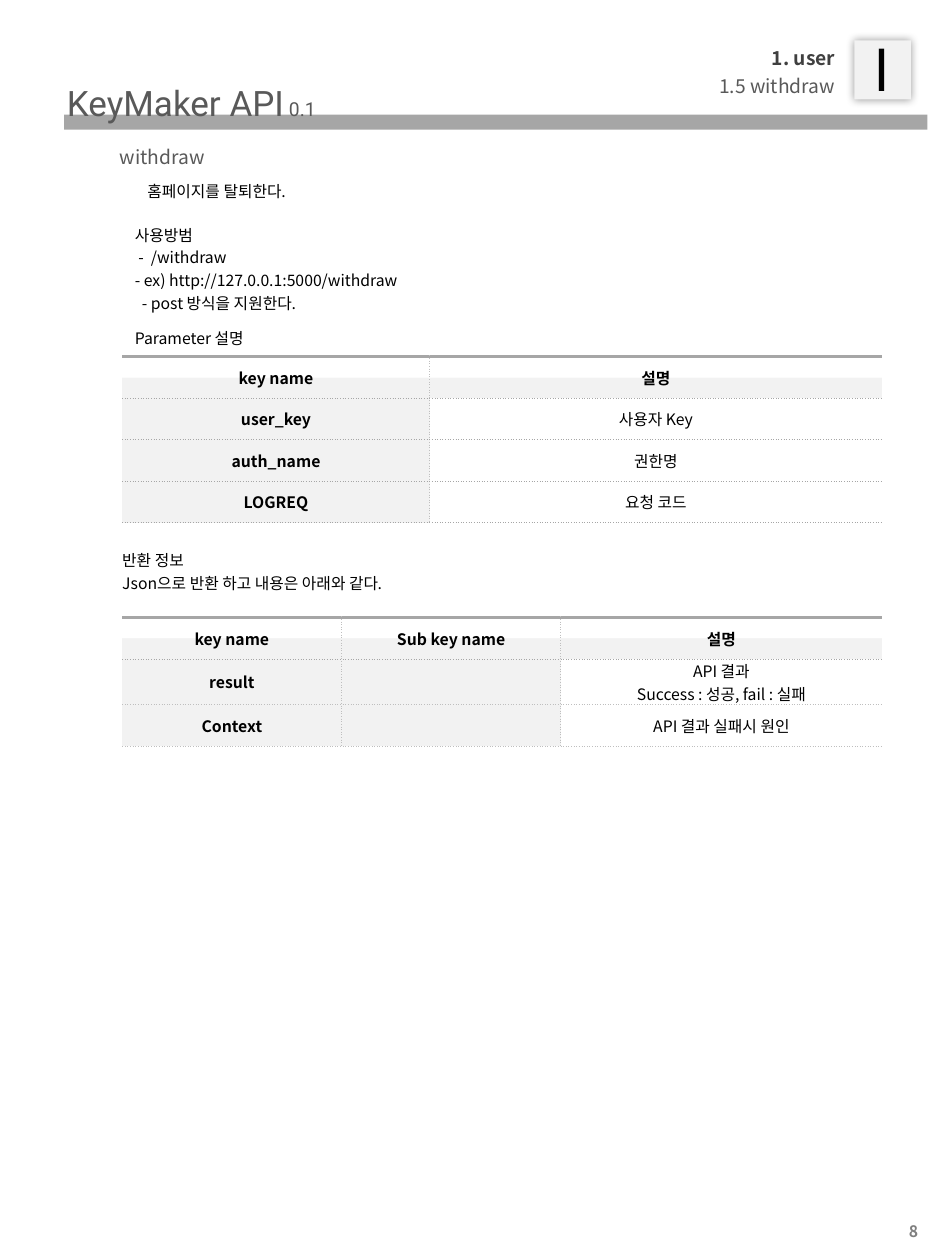
"""Build the withdraw page of the KeyMaker API guide."""
from lxml.etree import SubElement as Sub
from pptx import Presentation
from pptx.dml.color import RGBColor
from pptx.enum.shapes import MSO_SHAPE as Kind
from pptx.enum.text import MSO_ANCHOR as Anchor, MSO_AUTO_SIZE as Auto, PP_ALIGN as Align
from pptx.oxml.ns import qn
from pptx.util import Inches, Pt

rgb = RGBColor.from_string
SANS = "Noto Sans CJK KR"
WIDE, HIGH = 7.5, 10
LEFT, SPAN, ROW = 0.97, 6.03, 0.33
GRAY, PALE, SOFT = "A6A6A6", "BFBFBF", "F2F2F2"


def put(para, text, size, hue="000000", bold=False, face=SANS):
    run = para.add_run()
    run.text = text
    for key, val in {"size": Pt(size), "bold": bold, "name": face}.items():
        setattr(run.font, key, val)
    run.font.color.rgb = rgb(hue)
    Sub(run.font._element, qn("a:ea"), typeface=face)


def write(frame, lines, align=Align.LEFT, gap=1.0, pad=(0, 0), anchor=Anchor.TOP, wrap=True):
    form = {"word_wrap": wrap, "auto_size": Auto.NONE, "vertical_anchor": anchor,
            "margin_left": Inches(pad[0]), "margin_right": Inches(pad[0]),
            "margin_top": Inches(pad[1]), "margin_bottom": Inches(pad[1])}
    for key, val in form.items():
        setattr(frame, key, val)
    for i, runs in enumerate(lines):
        para = frame.add_paragraph() if i else frame.paragraphs[0]
        para.alignment, para.line_spacing = align, gap
        for run in runs:
            put(para, *run)


deck = Presentation()
deck.slide_width, deck.slide_height = Inches(WIDE), Inches(HIGH)
slide = deck.slides.add_slide(deck.slide_layouts[5])
shapes = slide.shapes

title = shapes.title
for key, val in zip(("left", "top", "width", "height"), (0.44, 0.6, 2.83, 0.43)):
    setattr(title, key, Inches(val))
write(title.text_frame, [[("KeyMaker API", 20, "595959", False, "Roboto"),
                          (" 0.1", 11, "595959", False, "Roboto")]], pad=(0.09, 0.05))

plates = {}
for name, kind, area, hue in (
        ("bar", Kind.RECTANGLE, (0.51, 0.91, 6.85, 0.12), GRAY),
        ("badge", Kind.RECTANGLE, (6.78, 0.32, 0.45, 0.47), SOFT),
        ("topic", Kind.ROUNDED_RECTANGLE, (0.94, 1.12, 4.77, 0.22), None)):
    plate = plates[name] = shapes.add_shape(kind, *map(Inches, area))
    plate.shadow.inherit = False
    plate.line.fill.background()
    if hue:
        plate.fill.solid()
        plate.fill.fore_color.rgb = rgb(hue)
    else:
        plate.fill.background()
shapes.element.insert(2, plates["bar"].element)
write(plates["topic"].text_frame, [[("withdraw", 11, "595959")]], gap=1.2, anchor=Anchor.MIDDLE)
glow = plates["badge"].element.spPr.find(qn("a:effectLst"))
shade = Sub(glow, qn("a:outerShdw"), blurRad=str(Pt(5)), dist="0", dir="0", algn="ctr", rotWithShape="0")
Sub(Sub(shade, qn("a:srgbClr"), val="000000"), qn("a:alpha"), val="40000")

for area, lines, form in (
        ((6.84, 0.22, 0.37, 0.65), [[("I", 33)]], {"pad": (0.09, 0.05)}),
        ((7.06, 9.65, 0.38, 0.25), [[("8", 9, "7F7F7F", True)]],
         {"pad": (0.09, 0.05), "align": Align.CENTER, "anchor": Anchor.MIDDLE, "wrap": False}),
        ((2.33, 0.33, 4.3, 0.44),
         [[("1. user", 11, "404040", True)], [("1.5 withdraw", 11, "595959")]],
         {"align": Align.RIGHT, "gap": 1.2, "anchor": Anchor.MIDDLE})):
    write(shapes.add_textbox(*map(Inches, area)).text_frame, lines, **form)

for left, top, high, lines in (
        (1.17, 1.41, 0.18, ["홈페이지를 탈퇴한다."]),
        (1.07, 1.76, 0.73, ["사용방범", " -  /withdraw", "- ex) http://127.0.0.1:5000/withdraw",
                            "  - post 방식을 지원한다."]),
        (1.07, 2.58, 0.16, ["Parameter 설명"]),
        (LEFT, 4.34, 0.36, ["반환 정보", "Json으로 반환 하고 내용은 아래와 같다."])):
    note = shapes.add_textbox(*map(Inches, (left, top, 5.71, high)))
    write(note.text_frame, [[(line, 9)] for line in lines], Align.JUSTIFY, 1.2)

for top, cols, rule, rows in (
        (2.83, (2.44, 3.59), GRAY,
         [["key name", "설명"], ["user_key", "사용자 Key"],
          ["auth_name", "권한명"], ["LOGREQ", "요청 코드"]]),
        (4.9, (1.74, 1.74, 2.55), PALE,
         [["key name", "Sub key name", "설명"],
          ["result", "", "API 결과\nSuccess : 성공, fail : 실패"],
          ["Context", "", "API 결과 실패시 원인"]])):
    area = map(Inches, (LEFT, top, SPAN, ROW * len(rows)))
    grid = shapes.add_table(len(rows), len(cols), *area).table
    grid.first_row = grid.horz_banding = False
    for col, wide in zip(grid.columns, cols):
        col.width = Inches(wide)
    for r, row in enumerate(rows):
        for c, text in enumerate(row):
            cell = grid.cell(r, c)
            last = c == len(cols) - 1
            bold = r == 0 or not last
            lines = [[(line, 9, "000000", bold)] if line else [] for line in text.split("\n")]
            write(cell.text_frame, lines, Align.CENTER)
            for side in ("left", "right", "top", "bottom"):
                setattr(cell, f"margin_{side}", 0)
            cell.vertical_anchor = Anchor.MIDDLE
            if not text:
                Sub(cell.text_frame.paragraphs[0]._p, qn("a:endParaRPr"), sz="900")
            tint = cell._tc.get_or_add_tcPr()
            edges = {"L": PALE if c else None, "R": None if last else PALE,
                     "T": GRAY if r < 2 else rule, "B": rule if r else GRAY}
            for side, hue in edges.items():
                thick = side == "T" and r == 0
                edge = Sub(tint, qn(f"a:ln{side}"), w=str(Pt(1.5 if thick else 0.5)))
                if hue:
                    Sub(Sub(edge, qn("a:solidFill")), qn("a:srgbClr"), val=hue)
                    Sub(edge, qn("a:prstDash"), val="solid" if thick else "sysDot")
                else:
                    Sub(edge, qn("a:noFill"))
            if r:
                cell.fill.solid()
                cell.fill.fore_color.rgb = rgb("FFFFFF" if last else SOFT)
            else:
                cell.fill.gradient()
                cell.fill.gradient_angle = 270
                for stop, spot, hue in zip(cell.fill.gradient_stops, (0.5, 0.51), ("FFFFFF", SOFT)):
                    stop.position, stop.color.rgb = spot, rgb(hue)
    for line in grid.rows:
        line.height = Inches(ROW)

deck.save("out.pptx")
